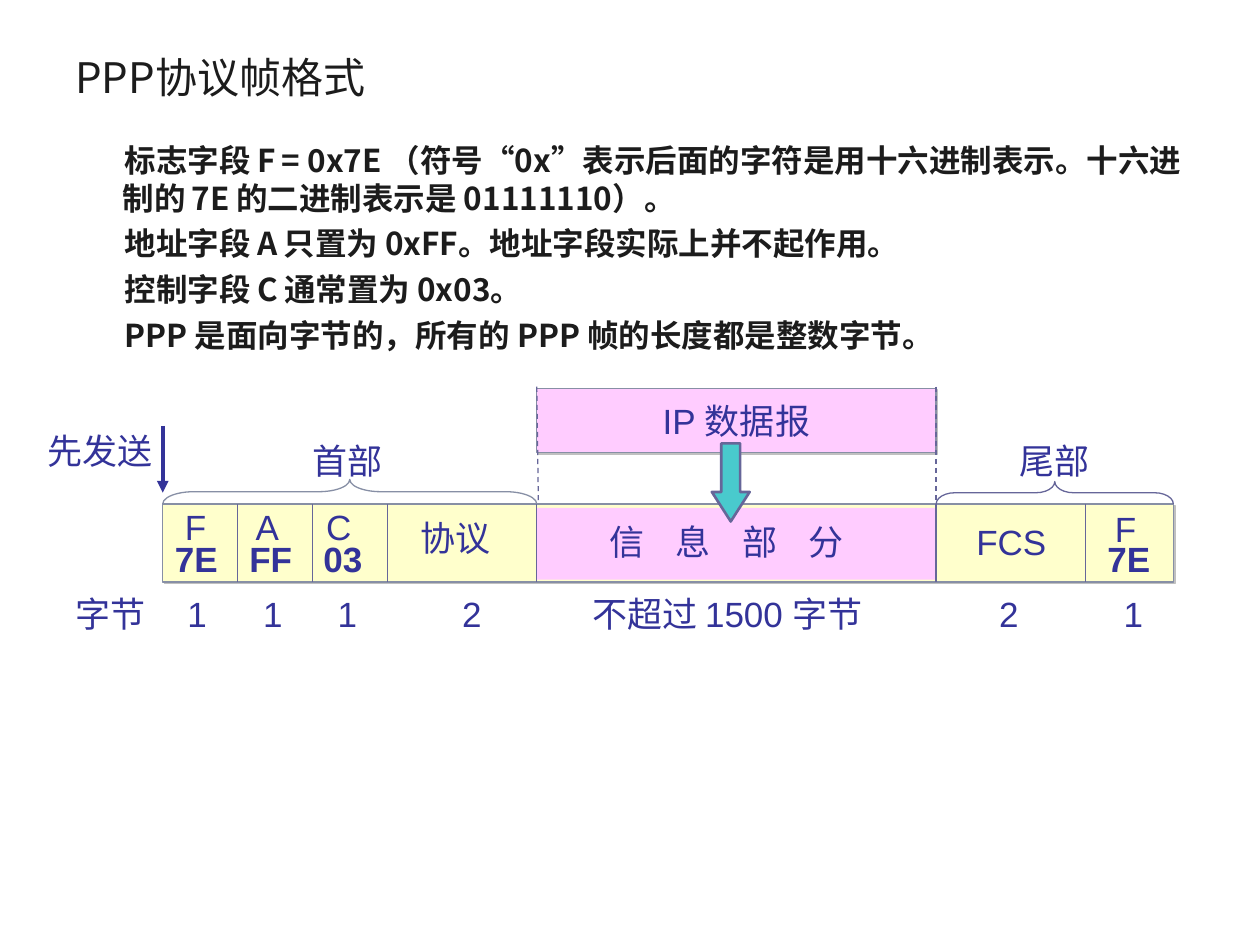
from dataclasses import dataclass
from itertools import accumulate
from typing import Optional

from lxml import etree
from pptx import Presentation
from pptx.dml.color import RGBColor
from pptx.enum.dml import MSO_LINE
from pptx.enum.shapes import MSO_CONNECTOR, MSO_SHAPE
from pptx.enum.text import MSO_ANCHOR, PP_ALIGN
from pptx.oxml.ns import qn
from pptx.util import Pt

RECTANGLE = MSO_SHAPE.RECTANGLE
LEFT_BRACE = MSO_SHAPE.LEFT_BRACE
DOWN_ARROW = MSO_SHAPE.DOWN_ARROW
STRAIGHT = MSO_CONNECTOR.STRAIGHT
DASH = MSO_LINE.DASH
MIDDLE = MSO_ANCHOR.MIDDLE
CENTER = PP_ALIGN.CENTER

INK = RGBColor(0x1C, 0x1C, 0x1C)
NAVY = RGBColor(0x33, 0x33, 0x99)
SLATE = RGBColor(0x66, 0x66, 0x99)
GREY = RGBColor(0x87, 0x8F, 0xA5)
PINK = RGBColor(0xFF, 0xCC, 0xFF)
CREAM = RGBColor(0xFF, 0xFF, 0xCC)
TEAL = RGBColor(0x49, 0xCA, 0xCD)
SHADOW = RGBColor(0xC0, 0xC0, 0xC0)

CJK_FONT = "Noto Sans CJK SC"
TITLE_FORMAT = {"name": CJK_FONT, "size": Pt(24), "bold": False}
BODY_FORMAT = {"name": CJK_FONT, "size": Pt(18), "bold": True}
LABEL_FORMAT = {"name": "Arial", "size": Pt(20), "bold": False}
CODE_FORMAT = {**LABEL_FORMAT, "bold": True}

FRAME_LEFT, FRAME_TOP, FRAME_HEIGHT = 93, 288, 44.6
BYTE_WIDTH = 42.75
FIELD_WIDTHS = [BYTE_WIDTH] * 3 + [2 * BYTE_WIDTH, 228.2, 2 * BYTE_WIDTH, 50]
EDGES = list(accumulate(FIELD_WIDTHS, initial=FRAME_LEFT))
INFO_LEFT, INFO_RIGHT = EDGES[4], EDGES[5]
FRAME_BOTTOM = FRAME_TOP + FRAME_HEIGHT
LABEL_HEIGHT = 31.7
COUNT_TOP, CODE_TOP = 334.8, 303.8


@dataclass
class Label:
    text: str
    left: float
    top: float
    width: float
    bold: bool = False
    tracking: int = 0


@dataclass
class Block:
    kind: int
    left: float
    top: float
    width: float
    height: float
    fill: Optional[RGBColor] = None
    line: Optional[RGBColor] = None
    weight: float = 0.75
    shadow: bool = False
    rotation: float = 0
    adjustments: tuple = ()


@dataclass
class Rule:
    x1: float
    y1: float
    x2: float
    y2: float
    color: RGBColor = SLATE
    weight: float = 0.75
    dashed: bool = False
    arrow: bool = False


TITLE = "PPP协议帧格式"
BODY = [
    "标志字段| |F| |= 0x7E （符号“0x”表示后面的字符是用十六进制表示。十六进制的| |7E| |的二进制表示是 01111110）。",
    "地址字段| |A| |只置为 0xFF。地址字段实际上并不起作用。",
    "控制字段| |C| |通常置为 0x03。",
    "PPP 是面向字节的，所有的 PPP 帧的长度都是整数字节。",
]
COUNTS = [
    Label(text, left, COUNT_TOP, width)
    for text, left, width in [
        ("字节", 36, 54), ("1", 100, 25.2), ("1", 143.2, 25.2), ("1", 185.8, 25.2),
        ("2", 257, 25.2), ("不超过 1500 字节", 331.2, 178.6), ("2", 563.8, 25.2),
        ("1", 635, 25.2),
    ]
]
CODES = [
    Label(text, left, CODE_TOP, 38.9, bold=True)
    for text, left in [("7E", 92.9), ("FF", 135.4), ("03", 177.8), ("7E", 625.7)]
]
NAMES = [
    Label("F", 98.6, 285.1, 26.6),
    Label("A", 139, 285.1, 27.4),
    Label("C", 179.3, 285.1, 28.8),
    Label("协议", 233.3, 291.6, 54),
    Label("信 息 部 分", 341.3, 293.8, 160, tracking=670),
    Label("FCS", 550.8, 293.8, 54),
    Label("F", 630, 286.6, 26.6),
    Label("先发送", 20.2, 241.9, 74.2),
    Label("首部", 171.4, 247.7, 54),
    Label("尾部", 575.3, 247.7, 54),
]


def style_span(span, formats: dict, color: RGBColor) -> None:
    for name, value in formats.items():
        setattr(span.font, name, value)
    span.font.color.rgb = color
    east_asian = etree.SubElement(span.font._element, qn("a:ea"))
    east_asian.set("typeface", CJK_FONT)


def add_span(para, text: str, formats: dict, color: RGBColor):
    span = para.add_run()
    span.text = text
    style_span(span, formats, color)
    return span


def add_box(page, left: float, top: float, width: float, height: float):
    box = page.shapes.add_textbox(Pt(left), Pt(top), Pt(width), Pt(height))
    box.text_frame.word_wrap = True
    return box


def add_label(page, label: Label) -> None:
    box = add_box(page, label.left, label.top, label.width, LABEL_HEIGHT)
    box.text_frame.margin_right = Pt(0)
    formats = CODE_FORMAT if label.bold else LABEL_FORMAT
    span = add_span(box.text_frame.paragraphs[0], label.text, formats, NAVY)
    if label.tracking:
        span.font._element.set("spc", str(label.tracking))


def add_effects(properties, shadow: bool) -> None:
    effects = etree.SubElement(properties, qn("a:effectLst"))
    if shadow:
        outer = etree.SubElement(effects, qn("a:outerShdw"), blurRad="0",
                                 dist=str(Pt(1.4)), dir="2700000", algn="ctr", rotWithShape="0")
        etree.SubElement(outer, qn("a:srgbClr"), val=str(SHADOW))


def add_block(page, block: Block):
    shape = page.shapes.add_shape(block.kind, Pt(block.left), Pt(block.top),
                                  Pt(block.width), Pt(block.height))
    shape.rotation = block.rotation
    for index, value in enumerate(block.adjustments):
        shape.adjustments[index] = value
    if block.fill is None:
        shape.fill.background()
    else:
        shape.fill.solid()
        shape.fill.fore_color.rgb = block.fill
    if block.line is None:
        shape.line.fill.background()
    else:
        shape.line.color.rgb = block.line
        shape.line.width = Pt(block.weight)
    add_effects(shape._element.spPr, block.shadow)
    return shape


def add_rule(page, rule: Rule) -> None:
    connector = page.shapes.add_connector(STRAIGHT, Pt(rule.x1), Pt(rule.y1),
                                          Pt(rule.x2), Pt(rule.y2))
    connector.line.color.rgb = rule.color
    connector.line.width = Pt(rule.weight)
    if rule.dashed:
        connector.line.dash_style = DASH
    if rule.arrow:
        etree.SubElement(connector.line._get_or_add_ln(), qn("a:tailEnd"), type="triangle")
    add_effects(connector._element.spPr, False)


def add_brace(page, left: float, right: float, height: float, color: RGBColor, curve: float) -> None:
    span = right - left
    add_block(page, Block(LEFT_BRACE, (left + right - height) / 2,
                          FRAME_TOP - (height + span) / 2, height, span,
                          line=color, rotation=90, adjustments=(curve, 0.5)))


def add_heading(page) -> None:
    box = add_box(page, 36, 21.6, 648, 43.9)
    box.text_frame.vertical_anchor = MIDDLE
    add_span(box.text_frame.paragraphs[0], TITLE, TITLE_FORMAT, INK)


def add_body(page) -> None:
    frame = add_box(page, 36, 77, 648, 376.6).text_frame
    for index, text in enumerate(BODY):
        para = frame.add_paragraph() if index else frame.paragraphs[0]
        para.space_before = Pt(4.5 if index else 0)
        properties = para._p.get_or_add_pPr()
        properties.set("marL", str(Pt(27)))
        properties.set("indent", str(Pt(1.2)))
        for part in text.split("|"):
            size = Pt(16 if part == " " else 18)
            add_span(para, part, {**BODY_FORMAT, "size": size}, INK)


def add_frame(page) -> None:
    info_width = INFO_RIGHT - INFO_LEFT
    packet = add_block(page, Block(RECTANGLE, INFO_LEFT, 221.8, info_width, 36.7,
                                   PINK, GREY, shadow=True))
    packet.text_frame.word_wrap = False
    packet.text_frame.vertical_anchor = MIDDLE
    para = packet.text_frame.paragraphs[0]
    para.alignment = CENTER
    add_span(para, "IP 数据报", LABEL_FORMAT, NAVY)
    add_rule(page, Rule(INFO_LEFT, 221, INFO_LEFT + 1, 293.8, dashed=True))
    add_rule(page, Rule(INFO_RIGHT, 221, INFO_RIGHT, 290.9, dashed=True))
    add_block(page, Block(RECTANGLE, FRAME_LEFT, FRAME_TOP, EDGES[-1] - FRAME_LEFT,
                          FRAME_HEIGHT, CREAM, GREY, shadow=True))
    add_block(page, Block(RECTANGLE, INFO_LEFT, 290.2, info_width, 41, PINK))
    for edge in EDGES[1:-1]:
        add_rule(page, Rule(edge, FRAME_TOP, edge, FRAME_BOTTOM))
    for label in COUNTS + CODES + NAMES:
        add_label(page, label)
    add_brace(page, FRAME_LEFT, INFO_LEFT, 14, GREY, 1.27)
    add_brace(page, INFO_RIGHT, EDGES[-1], 12.8, SLATE, 0.84)
    add_rule(page, Rule(FRAME_LEFT, 243.4, FRAME_LEFT, 281.5, NAVY, 2.25, arrow=True))
    add_block(page, Block(DOWN_ARROW, 406.8, 253.4, 21.6, 44.6, TEAL, SLATE, 1.5,
                          adjustments=(0.5, 0.78)))


def main() -> None:
    deck = Presentation()
    deck.slide_width, deck.slide_height = Pt(720), Pt(540)
    page = deck.slides.add_slide(deck.slide_layouts[6])
    add_heading(page)
    add_body(page)
    add_frame(page)
    deck.save("out.pptx")


if __name__ == "__main__":
    main()
